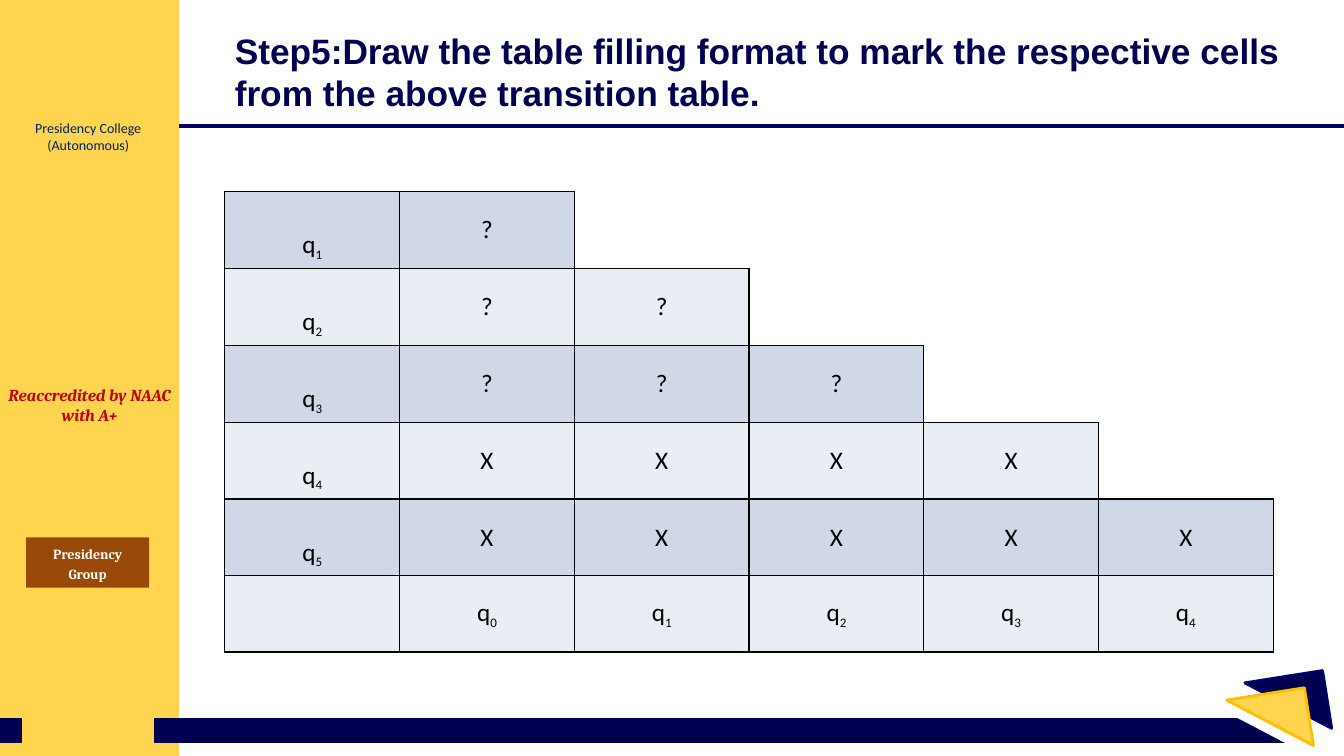
"""Build the slide showing the table filling format of step 5."""
import dataclasses

import pptx
import pptx.dml.color
import pptx.enum.shapes
import pptx.enum.text
import pptx.oxml.ns
import pptx.util
from lxml import etree

Pt = pptx.util.Pt
SHAPE = pptx.enum.shapes.MSO_SHAPE
ALIGN = pptx.enum.text.PP_ALIGN
ANCHOR = pptx.enum.text.MSO_ANCHOR


@dataclasses.dataclass(frozen=True)
class Theme:
    navy: str = "000051"
    rule: str = "000066"
    yellow: str = "FFD54F"
    amber: str = "FFC000"
    white: str = "FFFFFF"
    black: str = "000000"
    red: str = "C00000"
    brown: str = "984807"
    college: str = "002060"
    bands: tuple = ("D0D8E8", "E9EDF4")
    title_size: float = 25.2
    cell_size: float = 18
    index_size: float = 16
    motto_size: float = 12
    label_size: float = 10


def rgb(value):
    return pptx.dml.color.RGBColor.from_string(value)


def add_child(parent, tag, **attributes):
    return etree.SubElement(parent, pptx.oxml.ns.qn(tag), attributes)


class SlideBuilder:
    def __init__(self, theme, page):
        self.theme = theme
        self.page = page

    def shape(self, kind, area, fill, line=None):
        box = self.page.shapes.add_shape(kind, *map(Pt, area))
        box.shadow.inherit = False
        box.fill.solid()
        box.fill.fore_color.rgb = rgb(fill)
        if line:
            box.line.color.rgb = rgb(line)
            box.line.width = Pt(2)
        else:
            box.line.fill.background()
        return box

    def triangle(self, left, top, fill, line):
        box = self.shape(SHAPE.ISOSCELES_TRIANGLE, (left, top, 41.8, 56.2), fill, line)
        box.adjustments[0] = 0
        box.rotation = 261
        box.element.spPr.find(pptx.oxml.ns.qn("a:xfrm")).set("flipH", "1")

    def line(self, left, right, height, color, width):
        rule = self.page.shapes.add_connector(
            pptx.enum.shapes.MSO_CONNECTOR.STRAIGHT, Pt(left), Pt(height), Pt(right), Pt(height))
        rule.line.color.rgb = rgb(color)
        rule.line.width = Pt(width)
        add_child(rule.element.spPr, "a:effectLst")

    def text_box(self, area):
        return self.page.shapes.add_textbox(*map(Pt, area))

    def set_text(self, box, text, font, size, color, align=ALIGN.CENTER,
                 anchor=ANCHOR.MIDDLE, bold=False, italic=False, spacing=None):
        frame = box.text_frame
        frame.word_wrap = True
        frame.vertical_anchor = anchor
        frame.text = text
        for para in frame.paragraphs:
            para.alignment = align
            para.line_spacing = spacing
            for span in para.runs:
                span.font.name = font
                span.font.size = Pt(size)
                span.font.bold = bold
                span.font.italic = italic
                span.font.color.rgb = rgb(color)

    def border(self, cell, shown):
        properties = cell._tc.get_or_add_tcPr()
        for side in "LRTB":
            edge = add_child(properties, f"a:ln{side}", w=str(Pt(1)))
            if shown[side]:
                add_child(add_child(edge, "a:solidFill"), "a:srgbClr", val=self.theme.black)
            else:
                add_child(edge, "a:noFill")

    def cell_text(self, cell, text, index, spacing):
        para = cell.text_frame.paragraphs[0]
        para.alignment = ALIGN.CENTER
        para.line_spacing = spacing
        for part, size in ((text, self.theme.cell_size), (index, self.theme.index_size)):
            if part:
                span = para.add_run()
                span.text = part
                span.font.name = "Calibri"
                span.font.size = Pt(size)
                span.font.color.rgb = rgb(self.theme.black)
        if index:
            span.font._element.set("baseline", "-25000")

    def staircase(self, marks, left, top, width, row_height):
        size = len(marks) + 1
        table = self.page.shapes.add_table(
            size, size, Pt(left), Pt(top), Pt(width), Pt(row_height * size)).table
        table.first_row = table.horz_banding = False
        for row in range(size):
            table.rows[row].height = Pt(row_height)
            for column in range(size):
                cell = table.cell(row, column)
                inside = column <= row + 1
                self.border(cell, {"L": column <= row + 2, "R": inside,
                                   "T": inside, "B": column <= row + 2})
                if not inside:
                    cell.fill.background()
                    continue
                cell.fill.solid()
                cell.fill.fore_color.rgb = rgb(self.theme.bands[row % 2])
                last = row == size - 1
                if column == 0:
                    if not last:
                        self.cell_text(cell, "q", str(row + 1), 2.0)
                    continue
                cell.vertical_anchor = ANCHOR.MIDDLE
                if last:
                    self.cell_text(cell, "q", str(column - 1), None)
                else:
                    self.cell_text(cell, marks[row], "", None)


def main():
    theme = Theme()
    deck = pptx.Presentation()
    deck.slide_width, deck.slide_height = Pt(960), Pt(540)
    slide = SlideBuilder(theme, deck.slides.add_slide(deck.slide_layouts[6]))

    slide.shape(SHAPE.RECTANGLE, (0, 0, 128, 540), theme.yellow)
    slide.line(110.2, 928, 522, theme.navy, 18)
    slide.triangle(882.7, 493.9, theme.white, theme.white)
    slide.triangle(899.3, 475.9, theme.navy, theme.rule)
    slide.triangle(886.3, 488.2, theme.yellow, theme.amber)

    motto = slide.text_box((-5.8, 271.4, 139.7, 36))
    slide.set_text(motto, "Reaccredited by NAAC with A+", "Cambria", theme.motto_size,
                   theme.red, anchor=ANCHOR.TOP, bold=True, italic=True)
    group = slide.shape(SHAPE.RECTANGLE, (18.7, 383.8, 87.8, 36), theme.brown)
    slide.set_text(group, "Presidency Group", "Cambria", theme.label_size,
                   theme.white, bold=True, spacing=1.15)
    slide.line(0, 15.8, 522, theme.navy, 18)
    college = slide.shape(SHAPE.RECTANGLE, (0, 79.2, 126, 36), theme.yellow, theme.yellow)
    slide.set_text(college, "Presidency College\n(Autonomous)", "Calibri",
                   theme.label_size, theme.college)
    slide.line(128, 960, 90, theme.rule, 2.25)

    title = slide.text_box((160.6, 18, 783.4, 66.2))
    slide.set_text(title, "Step5:Draw the table filling format to mark the respective cells "
                   "from the above transition table.", "Arial", theme.title_size,
                   theme.navy, align=ALIGN.LEFT, bold=True)
    slide.staircase("???XX", 160.6, 136.8, 749, 54.4)
    deck.save("out.pptx")


if __name__ == "__main__":
    main()
